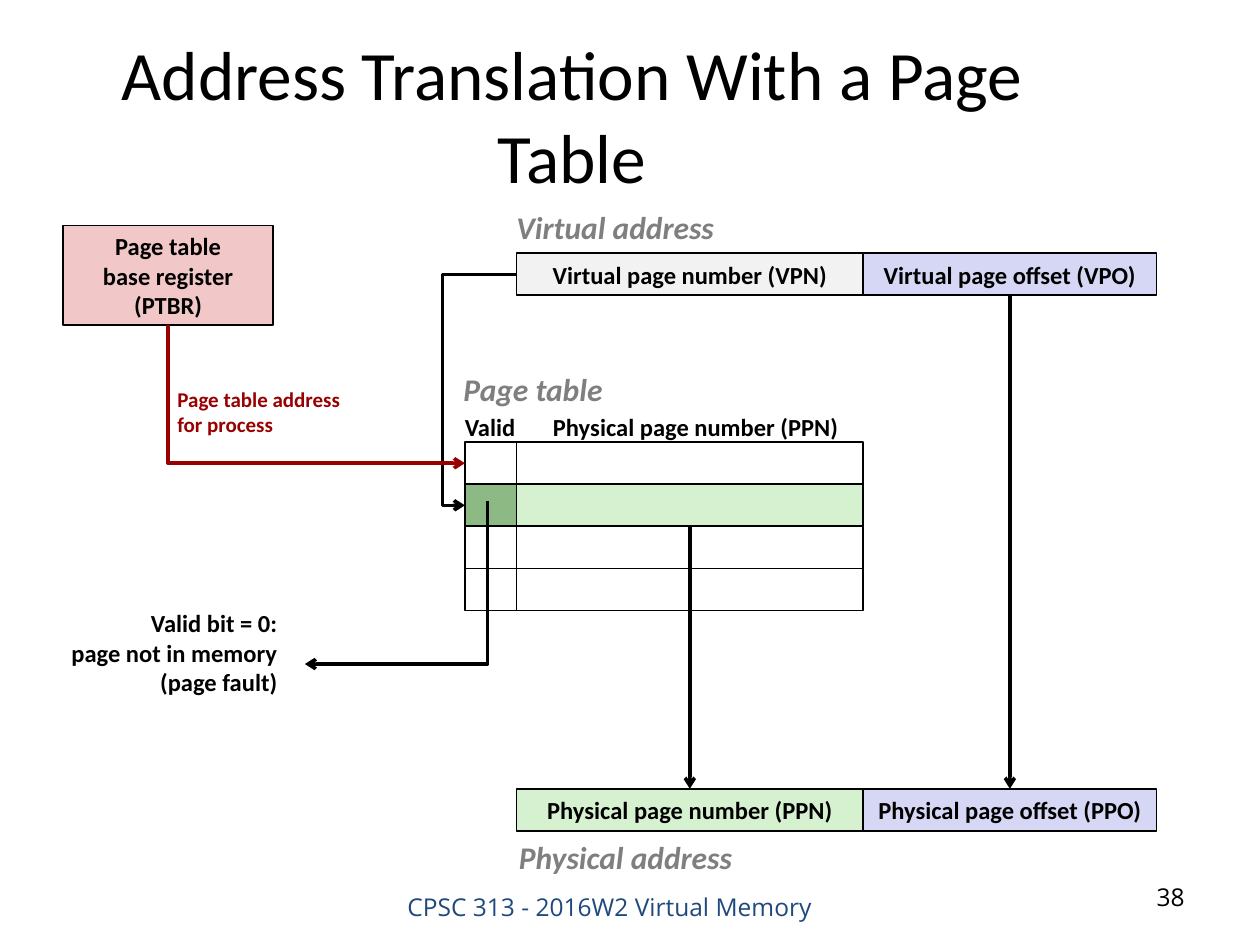
from dataclasses import dataclass
from lxml import etree
from pptx import Presentation
from pptx.dml.color import RGBColor
from pptx.enum.shapes import MSO_CONNECTOR, MSO_SHAPE
from pptx.enum.text import MSO_ANCHOR, MSO_AUTO_SIZE, PP_ALIGN
from pptx.oxml.ns import qn
from pptx.util import Inches, Pt

RECTANGLE = MSO_SHAPE.RECTANGLE
STRAIGHT, ELBOW = MSO_CONNECTOR.STRAIGHT, MSO_CONNECTOR.ELBOW
TOP, MIDDLE = MSO_ANCHOR.TOP, MSO_ANCHOR.MIDDLE
LEFT, CENTER, RIGHT = PP_ALIGN.LEFT, PP_ALIGN.CENTER, PP_ALIGN.RIGHT
NO_AUTOFIT = MSO_AUTO_SIZE.NONE


@dataclass(frozen=True)
class Theme:
    font: str = "Calibri"
    footer_font: str = "Open Sans"
    title: float = 39.6
    heading: int = 18
    body: int = 14
    note: int = 12
    ink: str = "000000"
    muted: str = "7F7F7F"
    accent: str = "990000"
    footer: str = "1F497D"
    virtual: str = "F2F2F2"
    offset: str = "D6D6F5"
    physical: str = "D5F1CF"
    valid: str = "8DBA84"
    register: str = "F1C7C7"
    border: int = 1
    arrow: int = 2


THEME = Theme()
SLIDE_W, SLIDE_H = 10, 7.5
VALID_X, NUMBER_X, OFFSET_X, END_X = 3.69, 4.1, 6.85, 9.18
ROW_H = 0.334
VIRTUAL_Y, TABLE_Y, PHYSICAL_Y = 2.01, 3.51, 6.26
REGISTER = (0.5, 1.79, 1.67, 0.79)

TITLE = "Address Translation With a Page Table"
REGISTER_TEXT = "Page table\vbase register\n(PTBR)"
ADDRESSES = [
    (VIRTUAL_Y, "Virtual page number (VPN)", THEME.virtual, "Virtual page offset (VPO)"),
    (PHYSICAL_Y, "Physical page number (PPN)", THEME.physical, "Physical page offset (PPO)"),
]
PAGE_TABLE = [
    (None, None),
    (THEME.valid, THEME.physical),
    (None, None),
    (None, None),
]
HEADINGS = [
    ("Virtual address", (4, 1.6, 1.8, 0.4)),
    ("Physical address", (4.02, 6.6, 1.93, 0.4)),
    ("Page table", (3.58, 2.89, 1.42, 0.4)),
]
LABELS = [
    ("Valid", (3.59, 3.22, 0.61, 0.33), THEME.body, THEME.ink, LEFT),
    ("Physical page number (PPN)", (4.29, 3.22, 2.48, 0.33), THEME.body, THEME.ink, LEFT),
    ("Page table address\nfor process", (1.31, 3.02, 1.54, 0.5), THEME.note, THEME.accent, LEFT),
    ("Valid bit = 0:\npage not in memory\n(page fault)", (0.46, 4.78, 1.84, 0.8),
     THEME.body, THEME.ink, RIGHT),
]
FOOTERS = [
    ("CPSC 313 - 2016W2 Virtual Memory", (2.71, 7.05, 4.26, 0.3), THEME.footer, CENTER, MIDDLE),
    ("38", (7.17, 6.95, 2.33, 0.4), THEME.ink, RIGHT, TOP),
]


def row_middle(row):
    return TABLE_Y + (row + 0.5) * ROW_H


NUMBER_MID = (NUMBER_X + OFFSET_X) / 2
OFFSET_MID = (OFFSET_X + END_X) / 2
REGISTER_MID = REGISTER[0] + REGISTER[2] / 2
ARROWS = [
    ((NUMBER_X, VIRTUAL_Y + ROW_H / 2), (VALID_X, row_middle(1)), THEME.ink, 3.51),
    ((OFFSET_MID, VIRTUAL_Y + ROW_H), (OFFSET_MID, PHYSICAL_Y), THEME.ink, None),
    ((NUMBER_MID, TABLE_Y + 2 * ROW_H), (NUMBER_MID, PHYSICAL_Y), THEME.ink, None),
    ((3.87, 3.98), (2.42, 5.27), THEME.ink, 3.87),
    ((REGISTER_MID, REGISTER[1] + REGISTER[3]), (VALID_X, row_middle(0)),
     THEME.accent, REGISTER_MID),
]


def color(code):
    return RGBColor.from_string(code)


def inches(values):
    return [Inches(value) for value in values]


def write(frame, text, size, ink=THEME.ink, align=CENTER, anchor=MIDDLE,
          font=THEME.font, bold=True, italic=False):
    frame.text = text
    frame.vertical_anchor = anchor
    for paragraph in frame.paragraphs:
        paragraph.alignment = align
        paragraph.font.name = font
        paragraph.font.size = Pt(size)
        paragraph.font.bold = bold
        paragraph.font.italic = italic
        paragraph.font.color.rgb = color(ink)


def add_cell(slide, box, fill=None, text=None):
    cell = slide.shapes.add_shape(RECTANGLE, *inches(box))
    cell.shadow.inherit = False
    if fill:
        cell.fill.solid()
        cell.fill.fore_color.rgb = color(fill)
    else:
        cell.fill.background()
    cell.line.color.rgb = color(THEME.ink)
    cell.line.width = Pt(THEME.border)
    if text:
        write(cell.text_frame, text, THEME.body)


def add_label(slide, text, box, size, ink, align, wrap=False, **style):
    label = slide.shapes.add_textbox(*inches(box))
    label.text_frame.word_wrap = wrap
    write(label.text_frame, text, size, ink, align, **style)


def add_arrow(slide, start, end, ink, bend_x):
    kind = STRAIGHT if bend_x is None else ELBOW
    arrow = slide.shapes.add_connector(kind, *inches(start + end))
    arrow.line.color.rgb = color(ink)
    arrow.line.width = Pt(THEME.arrow)
    properties = arrow._element.spPr
    etree.SubElement(properties.find(qn("a:ln")), qn("a:tailEnd"), type="arrow")
    etree.SubElement(properties, qn("a:effectLst"))
    if bend_x is not None:
        share = round((bend_x - start[0]) / (end[0] - start[0]) * 100000)
        guides = properties.find(qn("a:prstGeom")).find(qn("a:avLst"))
        etree.SubElement(guides, qn("a:gd"), name="adj1", fmla=f"val {share}")


def main():
    deck = Presentation()
    deck.slide_width, deck.slide_height = inches((SLIDE_W, SLIDE_H))
    slide = deck.slides.add_slide(deck.slide_layouts.get_by_name("Title Only"))

    title = slide.shapes.title
    title.left, title.top, title.width, title.height = inches((0.39, 0.49, 8.3, 0.83))
    title.text_frame.auto_size = NO_AUTOFIT
    write(title.text_frame, TITLE, THEME.title, bold=False)

    for top, number, fill, offset in ADDRESSES:
        add_cell(slide, (NUMBER_X, top, OFFSET_X - NUMBER_X, ROW_H), fill, number)
        add_cell(slide, (OFFSET_X, top, END_X - OFFSET_X, ROW_H), THEME.offset, offset)
    for row, (valid_fill, number_fill) in enumerate(PAGE_TABLE):
        top = TABLE_Y + row * ROW_H
        add_cell(slide, (NUMBER_X, top, OFFSET_X - NUMBER_X, ROW_H), number_fill)
        add_cell(slide, (VALID_X, top, NUMBER_X - VALID_X, ROW_H), valid_fill)
    add_cell(slide, REGISTER, THEME.register, REGISTER_TEXT)

    for arrow in ARROWS:
        add_arrow(slide, *arrow)
    for text, box in HEADINGS:
        add_label(slide, text, box, THEME.heading, THEME.muted, LEFT, anchor=TOP, italic=True)
    for label in LABELS:
        add_label(slide, *label, anchor=TOP)
    for text, box, ink, align, anchor in FOOTERS:
        add_label(slide, text, box, THEME.body, ink, align, wrap=True,
                  anchor=anchor, font=THEME.footer_font, bold=False)

    deck.save("out.pptx")


if __name__ == "__main__":
    main()
